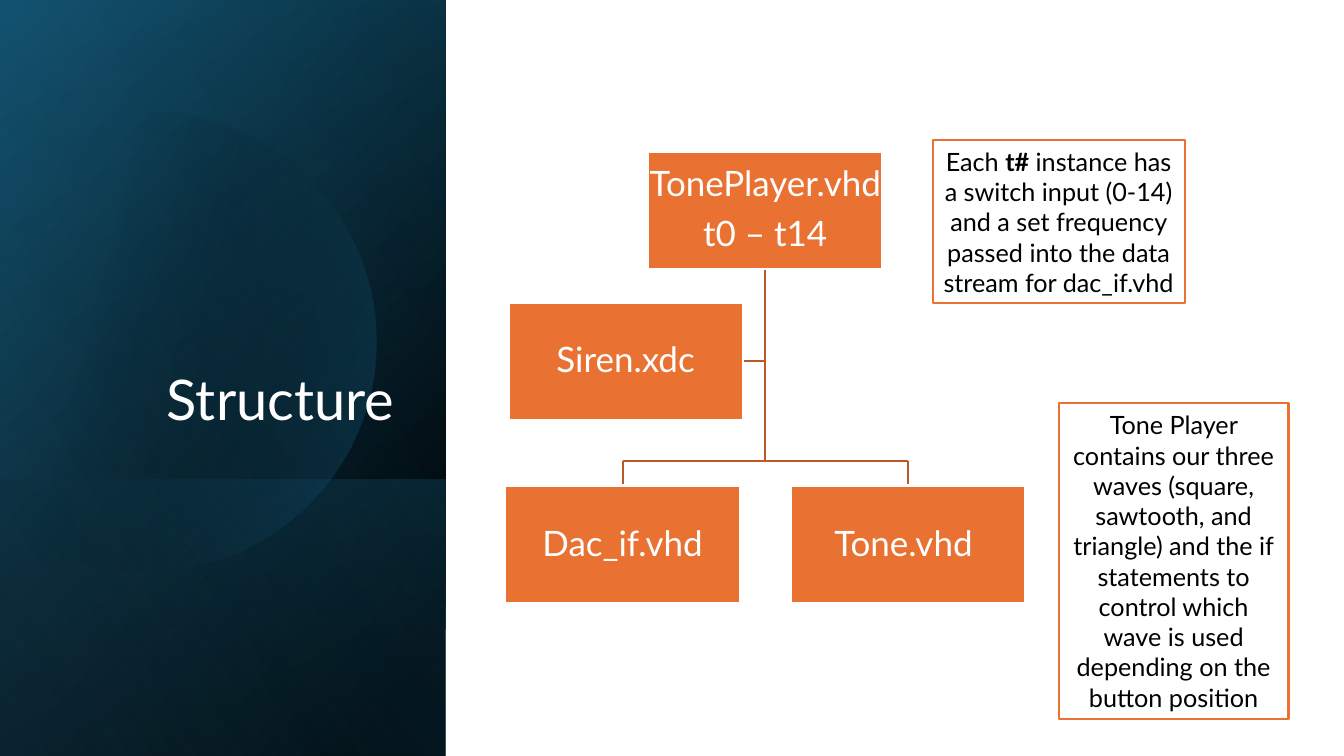
import math
from dataclasses import dataclass

from lxml import etree
from pptx import Presentation
from pptx.dml.color import RGBColor
from pptx.enum.shapes import MSO_CONNECTOR, MSO_SHAPE
from pptx.enum.text import MSO_ANCHOR, PP_ALIGN
from pptx.oxml import parse_xml
from pptx.oxml.ns import nsdecls, qn
from pptx.util import Inches, Pt

RECT, STRAIGHT = MSO_SHAPE.RECTANGLE, MSO_CONNECTOR.STRAIGHT
CENTER, RIGHT = PP_ALIGN.CENTER, PP_ALIGN.RIGHT
MIDDLE, BOTTOM = MSO_ANCHOR.MIDDLE, MSO_ANCHOR.BOTTOM


@dataclass(frozen=True)
class Theme:
    font: str = "Lato"
    white: str = "FFFFFF"
    black: str = "000000"
    orange: str = "E97132"
    rust: str = "BB5A28"
    navy: str = "104862"
    teal: str = "156082"
    sky: str = "46B1E1"
    title_pt: int = 40
    node_pt: int = 25
    note_pt: int = 18


T = Theme()
SLIDE_W, SLIDE_H = 13.33, 7.5
SIDEBAR = (0, 0, 4.42, SLIDE_H)
TREE = (5.01, 1.5, 5.16, 4.49)
NOTES = [
    ((9.25, 1.39, 2.5, 1.62),
     [("Each ", False), ("t#", True),
      (" instance has a switch input (0-14) and a set frequency passed "
       "into the data stream for dac_if.vhd", False)]),
    ((10.5, 4, 2.28, 3.13),
     [("Tone Player contains our three waves (square, sawtooth, and triangle) "
       "and the if statements to control which wave is used depending on the "
       "button position", False)]),
]


def inches(*values):
    return [Inches(v) for v in values]


def write(sp, paragraphs, size, color, align=CENTER, anchor=MIDDLE, wrap=True, inset=None,
          **para_format):
    """Fill a shape with paragraphs, each a list of (text, bold) runs."""
    tf = sp.text_frame
    tf.word_wrap, tf.vertical_anchor = wrap, anchor
    if inset is not None:
        for side in ("left", "right", "top", "bottom"):
            setattr(tf, f"margin_{side}", Inches(inset))
    for i, runs in enumerate(paragraphs):
        p = tf.add_paragraph() if i else tf.paragraphs[0]
        for name, value in dict(para_format, alignment=align).items():
            setattr(p, name, value)
        for text, bold in runs:
            r = p.add_run()
            r.text = text
            for name, value in dict(name=T.font, size=Pt(size), bold=bold).items():
                setattr(r.font, name, value)
            r.font.color.rgb = RGBColor.from_string(color)


def box(slide, bounds, fill, line, width):
    sp = slide.shapes.add_shape(RECT, *inches(*bounds))
    sp.shadow.inherit = False
    sp.fill.solid()
    sp.fill.fore_color.rgb = RGBColor.from_string(fill)
    sp.line.color.rgb = RGBColor.from_string(line)
    sp.line.width = Pt(width)
    return sp


def gradient(sp, stops, angle):
    """Give a shape a linear gradient of (position, colour, opacity) stops in percent."""
    sp.shadow.inherit = False
    sp.line.fill.background()
    marks = "".join(
        f'<a:gs pos="{pos * 1000}"><a:srgbClr val="{color}">'
        f'<a:alpha val="{alpha * 1000}"/></a:srgbClr></a:gs>'
        for pos, color, alpha in stops)
    fill = parse_xml(
        f'<a:gradFill {nsdecls("a")} rotWithShape="1"><a:gsLst>{marks}</a:gsLst>'
        f'<a:lin ang="{angle * 60000}" scaled="0"/></a:gradFill>')
    sp.fill.background()
    props = sp._element.spPr
    props.replace(props.find(qn("a:noFill")), fill)


def turned_panel(slide, bounds, stops, angle):
    """Cover the bounds with a mirrored rectangle turned by a quarter."""
    x, y, w, h = bounds
    shift = (w - h) / 2
    sp = slide.shapes.add_shape(RECT, *inches(x + shift, y - shift, h, w))
    sp.rotation = 90
    sp._element.spPr.find(qn("a:xfrm")).set("flipH", "1")
    gradient(sp, stops, angle)


def disc(slide, cx, cy, radius, left):
    """Draw a circle cut off at the given left edge."""
    limit = math.acos((left - cx) / radius)
    steps = 90
    points = []
    for i in range(steps + 1):
        a = limit * (2 * i / steps - 1)
        points.append(inches(cx + radius * math.cos(a), cy + radius * math.sin(a)))
    builder = slide.shapes.build_freeform(*points[0])
    builder.add_line_segments(points[1:], close=True)
    gradient(builder.convert_to_shape(), [(29, T.black, 0), (100, T.teal, 43)], 14)


def sidebar(slide, bounds, title):
    x, y, w, h = bounds
    foot = 2.74
    turned_panel(slide, bounds, [(8, T.black, 100), (100, T.navy, 100)], 50)
    turned_panel(slide, bounds, [(0, T.black, 0), (99, T.teal, 46)], 30)
    turned_panel(slide, (x, y + h - foot, w, foot), [(2, T.teal, 29), (100, T.black, 30)], 130)
    disc(slide, x + 1.45, y + 3.39, 2.28, x)
    turned_panel(slide, bounds, [(0, T.black, 0), (99, T.sky, 11)], 120)
    sp = slide.shapes.add_textbox(*inches(x + 0.51, y + 0.64, 3.5, 3.7))
    write(sp, [[(title, False)]], T.title_pt, T.white, RIGHT, BOTTOM, line_spacing=0.9)


def segment(slide, x1, y1, x2, y2):
    line = slide.shapes.add_connector(STRAIGHT, *inches(x1, y1, x2, y2))
    line.line.color.rgb = RGBColor.from_string(T.rust)
    line.line.width = Pt(1.5)
    etree.SubElement(line._element.spPr, qn("a:effectLst"))


def module_tree(slide, bounds):
    x, y, w, h = bounds
    node_w, node_h = 2.33, 1.17
    mid, right = x + w / 2, x + w - node_w
    leaf_y, side_x, side_y = y + h - node_h, x + 0.03, y + 1.5
    bar_y = leaf_y - 0.25
    leaf_centers = [x + node_w / 2, right + node_w / 2]

    segment(slide, mid, y + node_h, mid, bar_y)
    segment(slide, side_x + node_w, side_y + node_h / 2, mid, side_y + node_h / 2)
    segment(slide, leaf_centers[0], bar_y, leaf_centers[1], bar_y)
    for center in leaf_centers:
        segment(slide, center, bar_y, center, leaf_y)

    nodes = [
        (mid - node_w / 2, y, ["TonePlayer.vhd", "t0 – t14"]),
        (x, leaf_y, ["Dac_if.vhd"]),
        (right, leaf_y, ["Tone.vhd "]),
        (side_x, side_y, ["Siren.xdc"]),
    ]
    for left, top, lines in nodes:
        sp = box(slide, (left, top, node_w, node_h), T.orange, T.white, 2)
        write(sp, [[(line, False)] for line in lines], T.node_pt, T.white,
              wrap=False, inset=0, line_spacing=0.9, space_after=Pt(8.75))


def note(slide, bounds, runs):
    sp = box(slide, bounds, T.white, T.orange, 1.5)
    write(sp, [runs], T.note_pt, T.black)


def main():
    prs = Presentation()
    prs.slide_width, prs.slide_height = inches(SLIDE_W, SLIDE_H)
    slide = prs.slides.add_slide(prs.slide_layouts[6])
    sidebar(slide, SIDEBAR, "Structure")
    module_tree(slide, TREE)
    for bounds, runs in NOTES:
        note(slide, bounds, runs)
    prs.save("out.pptx")


if __name__ == "__main__":
    main()
